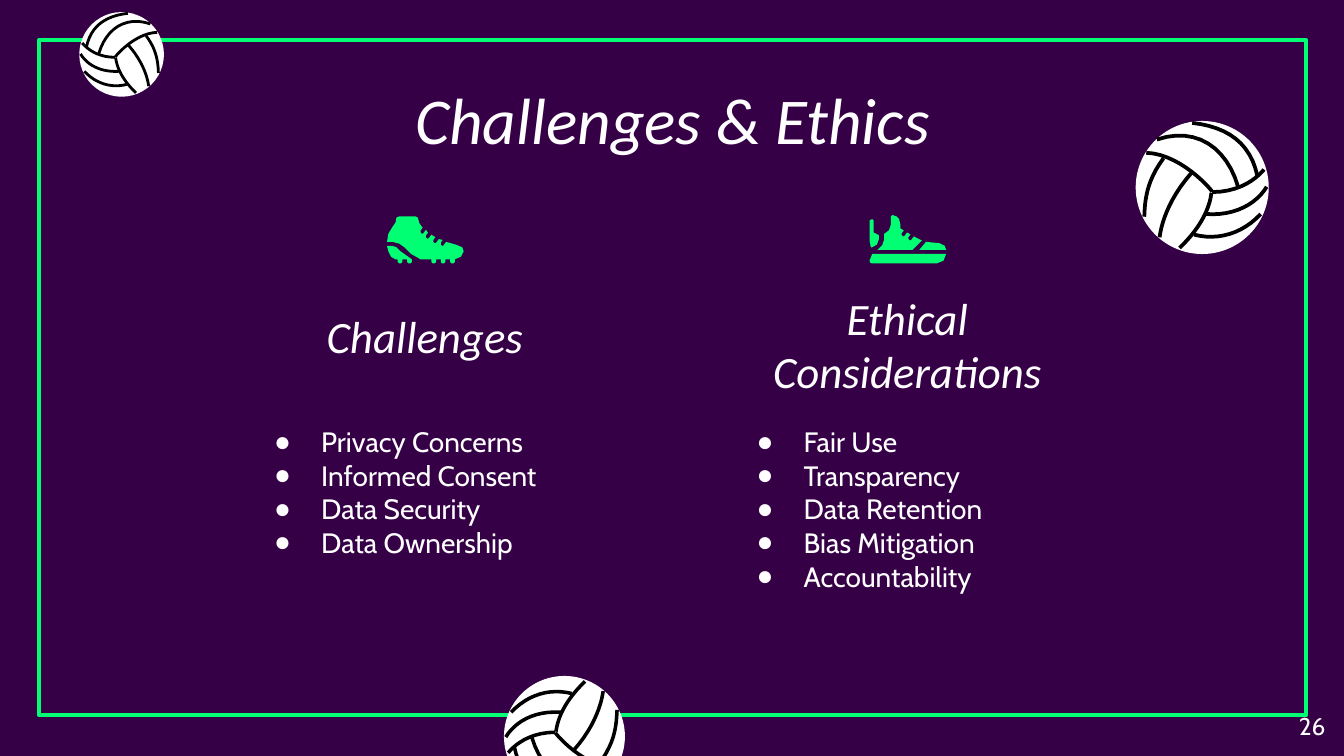
from dataclasses import dataclass

from lxml.etree import SubElement
from pptx import Presentation
from pptx.dml.color import RGBColor
from pptx.enum.shapes import MSO_SHAPE as Preset
from pptx.enum.text import MSO_ANCHOR as Anchor, MSO_AUTO_SIZE as AutoSize, PP_ALIGN as Align
from pptx.oxml.ns import qn
from pptx.util import Inches, Pt

Point = tuple[float, float]


@dataclass(frozen=True)
class Theme:
    background: RGBColor = RGBColor(0x36, 0x00, 0x47)
    accent: RGBColor = RGBColor(0x00, 0xFF, 0x73)
    light: RGBColor = RGBColor(0xFF, 0xFF, 0xFF)
    seam: RGBColor = RGBColor(0x00, 0x00, 0x00)
    display_font: str = "Calibri"
    body_font: str = "Cabin"
    title_size: float = 35
    heading_size: float = 24
    body_size: float = 15
    number_size: float = 13


@dataclass(frozen=True)
class Ball:
    left: float
    top: float
    diameter: float
    flip_x: int
    flip_y: int
    seam_width: float


@dataclass(frozen=True)
class Topic:
    heading: str
    points: tuple[str, ...]
    left: float
    heading_top: float
    heading_slot: int
    list_slot: int


@dataclass(frozen=True)
class Icon:
    left: float
    top: float
    outlines: tuple[list[Point], ...]


THEME = Theme()

BALLS = (
    Ball(3.75, 5.03, 0.9, -1, -1, 1.9),
    Ball(0.59, 0.09, 0.63, -1, 1, 1.5),
    Ball(8.45, 0.9, 0.99, 1, 1, 2),
)

# Cubic curves on a ball of radius 1: start, two controls, end.
SEAMS: tuple[tuple[Point, ...], ...] = (
    ((-0.15, -0.97), (0.39, -0.91), (0.73, -0.66), (0.83, -0.17)),
    ((-0.68, -0.72), (-0.09, -0.92), (0.37, -0.6), (0.54, -0.01)),
    ((-0.84, -0.52), (-0.41, -0.51), (0.01, -0.12), (0.15, 0.06)),
    ((-0.58, -0.44), (-0.85, -0.08), (-0.86, 0.22), (-0.87, 0.44)),
    ((-0.16, -0.22), (-0.53, 0.2), (-0.62, 0.59), (-0.64, 0.75)),
    ((0.14, 0.08), (0.1, 0.39), (-0.09, 0.67), (-0.34, 0.91)),
    ((-0.12, 0.71), (0.23, 0.8), (0.6, 0.7), (0.88, 0.4)),
    ((0.06, 0.4), (0.5, 0.43), (0.82, 0.24), (0.97, -0.01)),
    ((0.15, 0.07), (0.68, 0.07), (0.92, -0.26), (0.93, -0.27)),
)

TOPICS = (
    Topic("Challenges",
          ("Privacy Concerns", "Informed Consent", "Data Security", "Data Ownership"),
          1.79, 2.19, 1, 2),
    Topic("Ethical Considerations",
          ("Fair Use", "Transparency", "Data Retention", "Bias Mitigation", "Accountability"),
          5.38, 2.45, 3, 4),
)


def stud(x: float) -> list[Point]:
    return [(x, 32), (x, 34), (x + 1, 35), (x + 2.5, 35), (x + 3.5, 34), (x + 3.5, 32)]


def lace_notch(x: float, y: float) -> list[Point]:
    """Outline of one lace cut whose lowest point is (x, y), from toe to heel."""
    return [(x + 3, y - 3), (x + 1, y - 0.3), (x, y), (x - 1, y - 1),
            (x - 1, y - 2.5), (x + 0.5, y - 4.5)]


# Shoe outlines are in hundredths of an inch.
BOOT = Icon(2.88, 1.61, (
    [(9, 0), (7, 1), (6.4, 4.5), (4, 8), (1, 13), (0, 19), (4, 19), (9, 20.3), (13, 23),
     (18, 28), (25, 32), *stud(33), *stud(40), *stud(47), (55, 30), (57, 26), (56, 23),
     (51, 21), *lace_notch(41, 22), *lace_notch(35.5, 20), *lace_notch(30, 16.7),
     *lace_notch(26, 13), (24, 5), (23, 1), (21, 0)],
    [(0, 22), (1, 26), (3, 30), (6, 32), *stud(8), *stud(15), (10, 26), (7, 23), (4, 22)],
))
SNEAKER = Icon(6.47, 1.6, (
    [(42, 20), (37, 26), (57, 26), (56, 23), (52, 21)],
    [(17, 0), (16, 1), (16, 7), (14.5, 11.5), (11, 14), (11, 18), (9.5, 22.5), (6, 26),
     (32, 26), (39, 19), *lace_notch(30, 19), *lace_notch(25, 16), (23, 10), (23, 7),
     (22, 3), (20, 1)],
    [(2, 3), (0, 4), (0, 19), (1, 24), (2, 24), (5.5, 22), (7, 18), (7, 15), (3, 13), (3, 4)],
    [(2, 29), (0, 34), (0.5, 35.5), (2, 36), (50, 36), (55, 34), (57, 29)],
))


def curve_points(curve: tuple[Point, ...], steps: int = 12) -> list[Point]:
    points = []
    for step in range(steps + 1):
        t = step / steps
        weights = ((1 - t) ** 3, 3 * t * (1 - t) ** 2, 3 * t * t * (1 - t), t ** 3)
        points.append(tuple(sum(w * p[axis] for w, p in zip(weights, curve))
                            for axis in (0, 1)))
    return points


def draw_paths(slide, paths: list[list[Point]], close: bool):
    """Put several paths, given in inches, into one freeform."""
    paths = [[(Inches(x), Inches(y)) for x, y in path] for path in paths]
    builder = slide.shapes.build_freeform(*paths[0][0], scale=1.0)
    for position, path in enumerate(paths):
        if position:
            builder.move_to(*path[0])
        builder.add_line_segments(path[1:], close=close)
    outline = builder.convert_to_shape()
    outline.shadow.inherit = False
    return outline


def draw_frame(slide) -> None:
    frame = slide.shapes.add_shape(
        Preset.RECTANGLE, Inches(0.29), Inches(0.3), Inches(9.43), Inches(5.02))
    frame.shadow.inherit = False
    frame.fill.background()
    frame.line.color.rgb = THEME.accent
    frame.line.width = Pt(2.25)


def draw_ball(slide, ball: Ball) -> None:
    disc = slide.shapes.add_shape(Preset.OVAL, Inches(ball.left), Inches(ball.top),
                                  Inches(ball.diameter), Inches(ball.diameter))
    disc.shadow.inherit = False
    disc.fill.solid()
    disc.fill.fore_color.rgb = THEME.light
    disc.line.fill.background()
    r = ball.diameter / 2
    x, y = ball.left + r, ball.top + r
    seams = draw_paths(
        slide,
        [[(x + ball.flip_x * r * u, y + ball.flip_y * r * v) for u, v in curve_points(seam)]
         for seam in SEAMS],
        close=False)
    seams.fill.background()
    seams.line.color.rgb = THEME.seam
    seams.line.width = Pt(ball.seam_width)


def draw_icon(slide, icon: Icon) -> None:
    for outline in icon.outlines:
        part = draw_paths(
            slide, [[(icon.left + x / 100, icon.top + y / 100) for x, y in outline]], close=True)
        part.fill.solid()
        part.fill.fore_color.rgb = THEME.accent
        part.line.fill.background()


def add_bullet(paragraph) -> None:
    properties = paragraph._p.get_or_add_pPr()
    properties.set("marL", str(Inches(0.5)))
    properties.set("indent", str(Inches(-0.35)))
    color = SubElement(properties, qn("a:buClr"))
    SubElement(color, qn("a:srgbClr")).set("val", str(THEME.light))
    SubElement(properties, qn("a:buChar")).set("char", "●")


def write(box, area: tuple[float, float, float, float], lines: tuple[str, ...], size: float,
          font: str, align=Align.LEFT, anchor=Anchor.TOP, italic: bool = False,
          bullets: bool = False) -> None:
    """Place a text shape and fill it with one paragraph per line."""
    box.left, box.top, box.width, box.height = map(Inches, area)
    frame = box.text_frame
    frame.word_wrap = True
    frame.auto_size = AutoSize.NONE
    frame.vertical_anchor = anchor
    frame.margin_left = frame.margin_right = Inches(0.1)
    frame.margin_top = frame.margin_bottom = Inches(0.1)
    for position, line in enumerate(lines):
        paragraph = frame.add_paragraph() if position else frame.paragraphs[0]
        if bullets:
            add_bullet(paragraph)
        paragraph.alignment = align
        paragraph.space_before = Pt(0)
        paragraph.line_spacing = 1.0
        run = paragraph.add_run()
        run.text = line
        run.font.name = font
        run.font.size = Pt(size)
        run.font.bold = False
        run.font.italic = italic
        run.font.color.rgb = THEME.light


def main() -> None:
    deck = Presentation()
    deck.slide_width = Inches(10)
    deck.slide_height = deck.slide_width * 9 // 16
    slide = deck.slides.add_slide(deck.slide_layouts.get_by_name("Comparison"))
    slide.background.fill.solid()
    slide.background.fill.fore_color.rgb = THEME.background

    draw_frame(slide)
    for ball in BALLS:
        draw_ball(slide, ball)
    for icon in (BOOT, SNEAKER):
        draw_icon(slide, icon)

    write(slide.shapes.title, (0.79, 0.49, 8.43, 0.63), ("Challenges & Ethics",),
          THEME.title_size, THEME.display_font, Align.CENTER, italic=True)
    slots = {slot.placeholder_format.idx: slot for slot in slide.placeholders}
    for topic in TOPICS:
        write(slots[topic.heading_slot], (topic.left, topic.heading_top, 2.74, 0.61),
              (topic.heading,), THEME.heading_size, THEME.display_font, Align.CENTER,
              Anchor.BOTTOM, italic=True)
        write(slots[topic.list_slot], (topic.left, 3.06, 2.74, 1.92), topic.points,
              THEME.body_size, THEME.body_font, bullets=True)
    page_number = slide.shapes.add_textbox(0, 0, 0, 0)
    write(page_number, (9.36, 5.19, 0.6, 0.43), ("26",), THEME.number_size,
          THEME.body_font, Align.RIGHT)

    deck.save("out.pptx")


if __name__ == "__main__":
    main()
